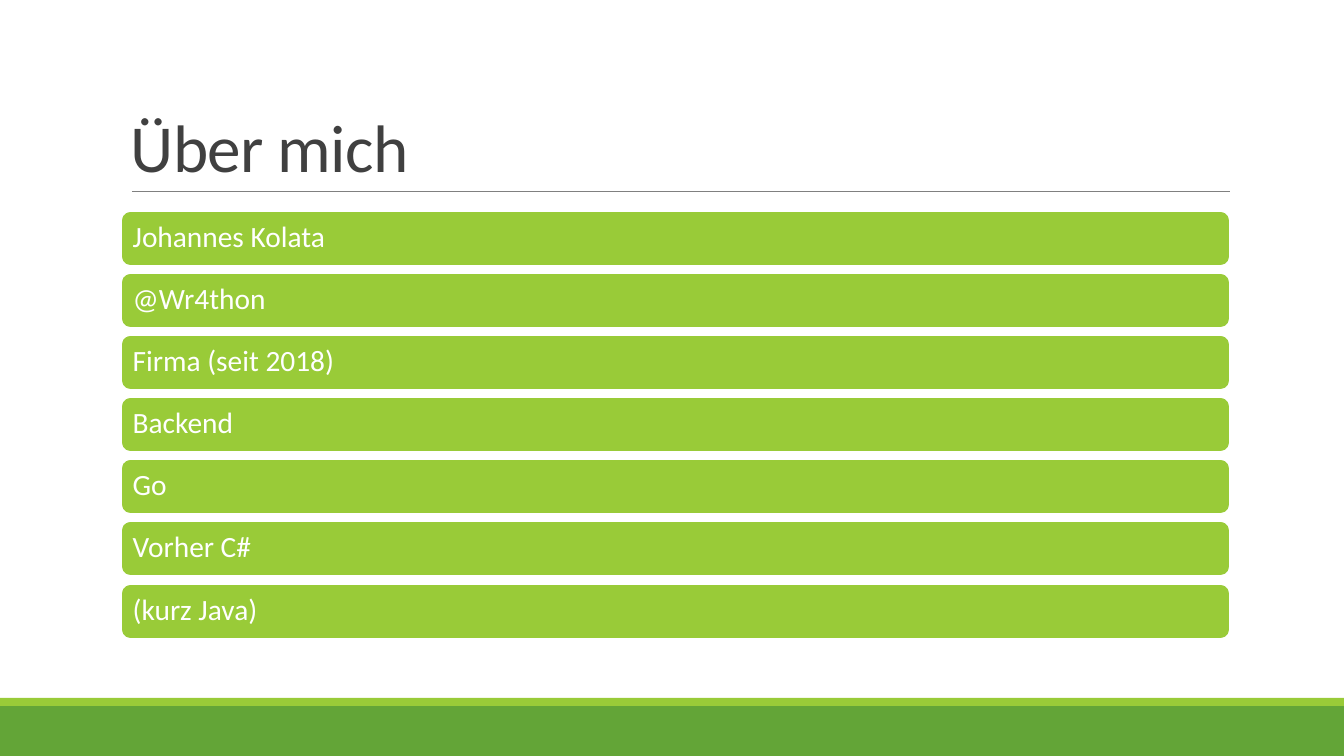
from pptx import Presentation
from pptx.dml.color import RGBColor
from pptx.enum.shapes import MSO_CONNECTOR as Link, MSO_SHAPE as Kind
from pptx.enum.text import MSO_ANCHOR as Anchor, PP_ALIGN as Align
from pptx.oxml.ns import qn
from pptx.util import Pt
from lxml.etree import SubElement

GREEN = RGBColor(0x63, 0xA5, 0x37)
LIME = RGBColor(0x99, 0xCB, 0x38)
GRAY = RGBColor(0x80, 0x80, 0x80)
DARK = RGBColor(0x40, 0x40, 0x40)
WHITE = RGBColor(0xFF, 0xFF, 0xFF)
PX = 914400 / 100.8


def px(*nums):
    return [round(n * PX) for n in nums]


def write(shape, text, size, color, space, frame):
    body = shape.text_frame
    for key, val in frame.items():
        setattr(body, key, val)
    para = body.paragraphs[0]
    para.alignment = Align.LEFT
    para.line_spacing = space
    run = para.add_run()
    run.text = text
    look = {"name": "Calibri", "size": Pt(size)}
    for key, val in look.items():
        setattr(run.font, key, val)
    run.font.color.rgb = color
    return run


deck = Presentation()
deck.slide_width, deck.slide_height = px(1344, 756)
slide = deck.slides.add_slide(deck.slide_layouts[6])
shapes = slide.shapes

for top, high, color in [(706, 50, GREEN), (698, 8, LIME)]:
    band = shapes.add_shape(Kind.RECTANGLE, *px(0, top, 1344, high))
    band.shadow.inherit = False
    band.fill.solid()
    band.fill.fore_color.rgb = color
    band.line.fill.background()

rule = shapes.add_connector(Link.STRAIGHT, *px(132, 191, 1230, 191))
rule.line.color.rgb = GRAY
rule.line.width = Pt(0.5)
SubElement(rule._element.spPr, qn("a:effectLst"))

title = shapes.add_textbox(*px(121, 31, 1109, 160))
frame = {"word_wrap": True, "vertical_anchor": Anchor.BOTTOM}
run = write(title, "Über mich", 48, DARK, 0.85, frame)
run.font._element.set("spc", "-50")

facts = [
    "Johannes Kolata",
    "@Wr4thon",
    "Firma (seit 2018)",
    "Backend",
    "Go",
    "Vorher C#",
    "(kurz Java)",
]
side, edge = px(9, 9)
frame = {
    "word_wrap": True,
    "vertical_anchor": Anchor.MIDDLE,
    "margin_left": side,
    "margin_right": side,
    "margin_top": edge,
    "margin_bottom": edge,
}
for i, fact in enumerate(facts):
    top = 211 + 373 * i // 6
    bar = shapes.add_shape(Kind.ROUNDED_RECTANGLE, *px(121, top, 1109, 55))
    bar.shadow.inherit = False
    bar.fill.solid()
    bar.fill.fore_color.rgb = LIME
    bar.line.color.rgb = WHITE
    bar.line.width = Pt(1.25)
    write(bar, fact, 21, WHITE, 0.9, frame)

deck.save("out.pptx")
